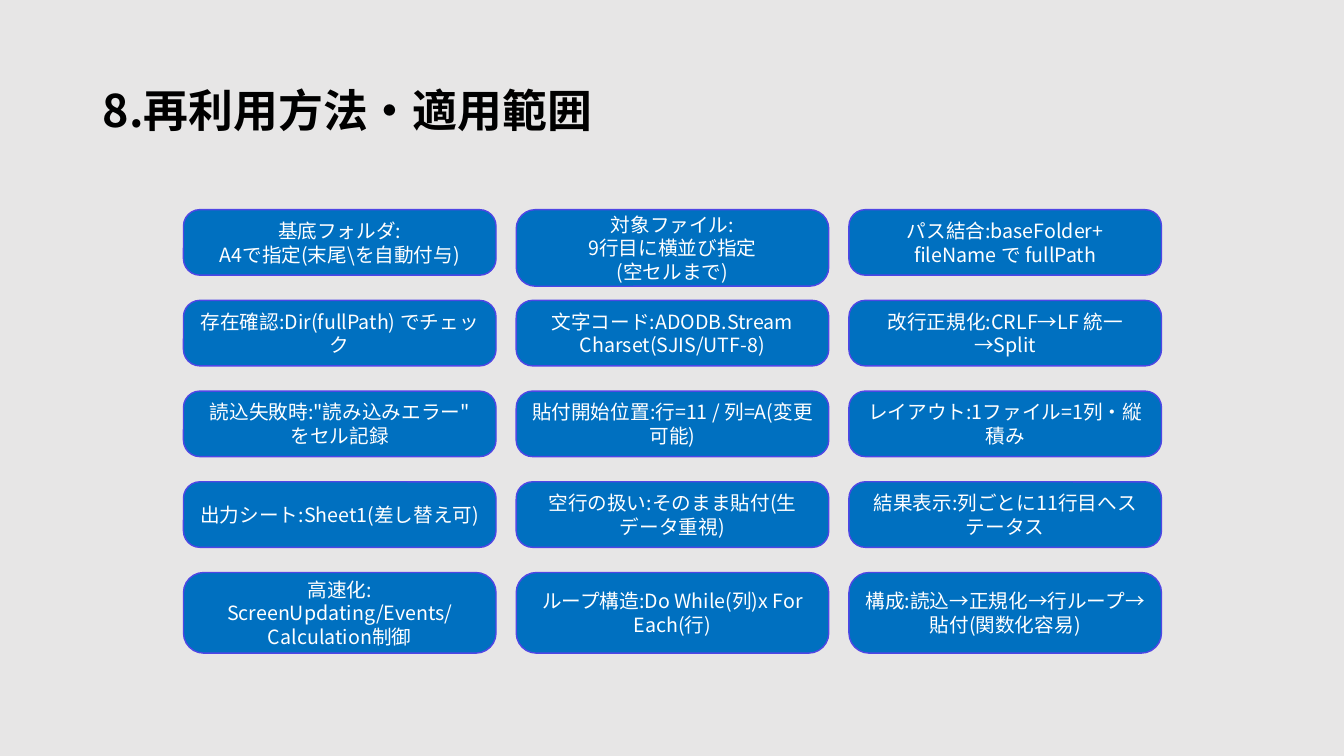
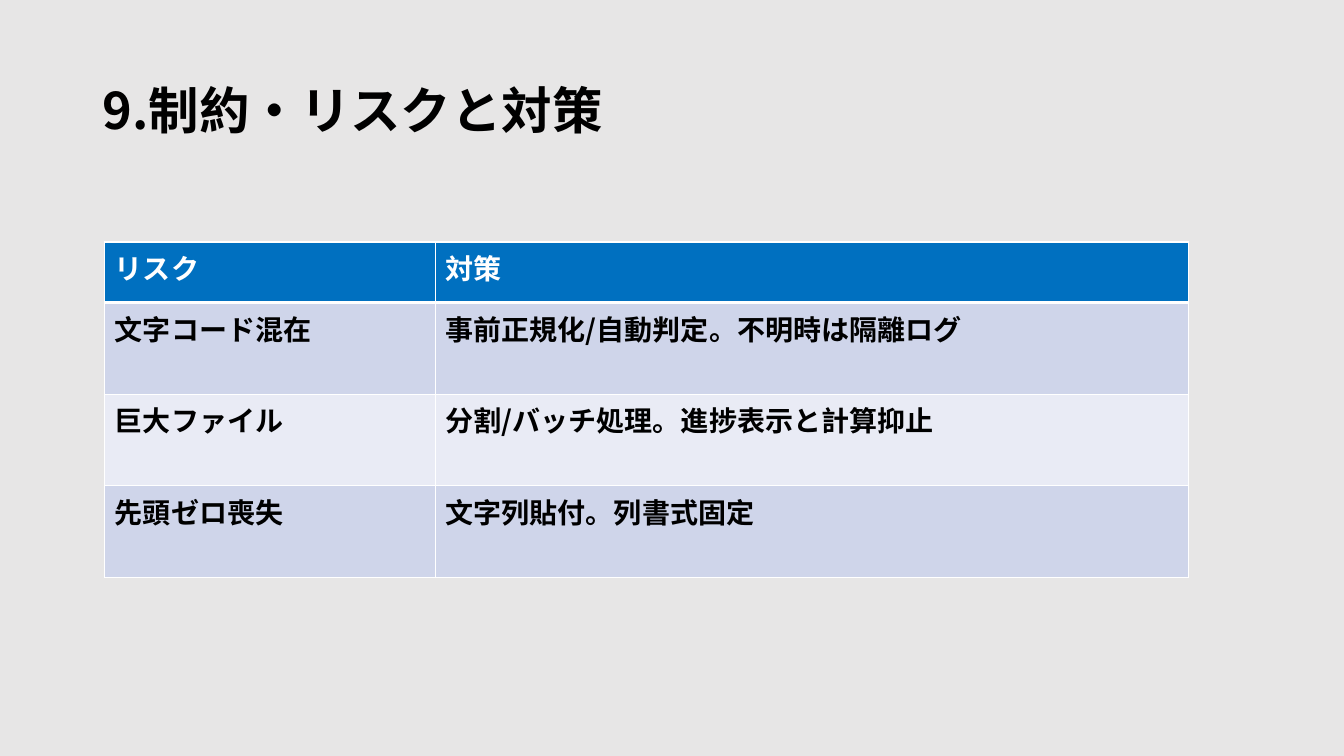
from lxml.etree import SubElement
from pptx import Presentation
from pptx.dml.color import RGBColor
from pptx.enum.shapes import MSO_SHAPE
from pptx.enum.text import MSO_ANCHOR, PP_ALIGN
from pptx.oxml import parse_xml
from pptx.oxml.ns import nsdecls, qn
from pptx.util import Inches, Pt

COLORS = {
    "background": "E7E6E6",
    "primary": "0070C0",
    "outline": "4F46E5",
    "band_dark": "CFD5EA",
    "band_light": "E9EBF5",
    "text": "000000",
    "white": "FFFFFF",
}
FONT = "Noto Sans CJK JP"

CARD_LEFT, CARD_TOP = 1.82, 2.08
CARD_WIDTH, CARD_HEIGHT = 3.1, 0.65
COLUMN_STEP, ROW_STEP = 3.3, 0.9
TALL_CARDS = {(0, 1): 0.76, (4, 0): 0.8, (4, 1): 0.8, (4, 2): 0.8}

CARDS = [
    ["基底フォルダ:\nA4で指定(末尾\\を自動付与)",
     "対象ファイル:\n9行目に横並び指定\n(空セルまで)",
     "パス結合:baseFolder+ fileName で fullPath"],
    ["存在確認:Dir(fullPath) でチェック",
     "文字コード:ADODB.Stream Charset(SJIS/UTF-8)",
     "改行正規化:CRLF→LF 統一→Split"],
    ["読込失敗時:\"読み込みエラー\" をセル記録",
     "貼付開始位置:行=11 / 列=A(変更可能)",
     "レイアウト:1ファイル=1列・縦積み"],
    ["出力シート:Sheet1(差し替え可)",
     "空行の扱い:そのまま貼付(生データ重視)",
     "結果表示:列ごとに11行目へステータス"],
    ["高速化:\nScreenUpdating/Events/Calculation制御",
     "ループ構造:Do While(列)x For Each(行)",
     "構成:読込→正規化→行ループ→貼付(関数化容易)"],
]

RISKS = [
    ["リスク", "対策"],
    ["文字コード混在", "事前正規化/自動判定。不明時は隔離ログ"],
    ["巨大ファイル", "分割/バッチ処理。進捗表示と計算抑止"],
    ["先頭ゼロ喪失", "文字列貼付。列書式固定"],
]
RISK_COLUMNS = [3.28, 7.47]
RISK_ROWS = [0.6, 0.91, 0.91, 0.91]


def color(name):
    return RGBColor.from_string(COLORS[name])


def paint(target, name):
    target.fill.solid()
    target.fill.fore_color.rgb = color(name)


def write(frame, text, size, color_name, bold=False, align=PP_ALIGN.LEFT, spacing=1.0):
    frame.word_wrap = True
    for index, line in enumerate(text.split("\n")):
        para = frame.add_paragraph() if index else frame.paragraphs[0]
        para.alignment = align
        para.line_spacing = spacing
        span = para.add_run()
        span.text = line
        span.font.size = Pt(size)
        span.font.bold = bold
        span.font.color.rgb = color(color_name)
        span.font.name = FONT
        SubElement(span.font._element, qn("a:ea"), typeface=FONT)


def add_page(deck, title, size):
    page = deck.slides.add_slide(deck.slide_layouts[6])
    paint(page.background, "background")
    box = page.shapes.add_textbox(Inches(0.92), Inches(0.4), Inches(11.5), Inches(1.45))
    box.text_frame.vertical_anchor = MSO_ANCHOR.MIDDLE
    write(box.text_frame, title, size, "text", bold=True, spacing=0.9)
    return page


def add_card(page, row, column, text):
    card = page.shapes.add_shape(
        MSO_SHAPE.ROUNDED_RECTANGLE,
        Inches(CARD_LEFT + column * COLUMN_STEP),
        Inches(CARD_TOP + row * ROW_STEP),
        Inches(CARD_WIDTH),
        Inches(TALL_CARDS.get((row, column), CARD_HEIGHT)),
    )
    card.adjustments[0] = 0.25
    card.shadow.inherit = False
    paint(card, "primary")
    card.line.color.rgb = color("outline")
    card.line.width = Pt(1)
    card.text_frame.vertical_anchor = MSO_ANCHOR.MIDDLE
    write(card.text_frame, text, 14, "white", align=PP_ALIGN.CENTER)


def add_borders(cell, widths):
    properties = cell._tc.get_or_add_tcPr()
    for index, (side, width) in enumerate(widths.items()):
        properties.insert(index, parse_xml(
            f'<a:ln{side} {nsdecls("a")} w="{Pt(width)}"><a:solidFill>'
            f'<a:srgbClr val="{COLORS["white"]}"/></a:solidFill></a:ln{side}>'
        ))


def add_risk_table(page):
    table = page.shapes.add_table(
        len(RISK_ROWS), len(RISK_COLUMNS), Inches(1.04), Inches(2.4),
        Inches(sum(RISK_COLUMNS)), Inches(sum(RISK_ROWS)),
    ).table
    for column, width in zip(table.columns, RISK_COLUMNS):
        column.width = Inches(width)
    for index, (row, height, texts) in enumerate(zip(table.rows, RISK_ROWS, RISKS)):
        row.height = Inches(height)
        header = index == 0
        band = "primary" if header else "band_dark" if index % 2 else "band_light"
        top, bottom = 3 if index == 1 else 1, 3 if header else 1
        for cell, text in zip(row.cells, texts):
            paint(cell, band)
            add_borders(cell, {"L": 1, "R": 1, "T": top, "B": bottom})
            write(cell.text_frame, text, 20, "white" if header else "text", bold=True)


def main():
    deck = Presentation()
    deck.slide_width, deck.slide_height = Inches(13.33), Inches(7.5)

    page = add_page(deck, "8.再利用方法・適用範囲", 32)
    for row, texts in enumerate(CARDS):
        for column, text in enumerate(texts):
            add_card(page, row, column, text)

    add_risk_table(add_page(deck, "9.制約・リスクと対策", 36))
    deck.save("out.pptx")


if __name__ == "__main__":
    main()
